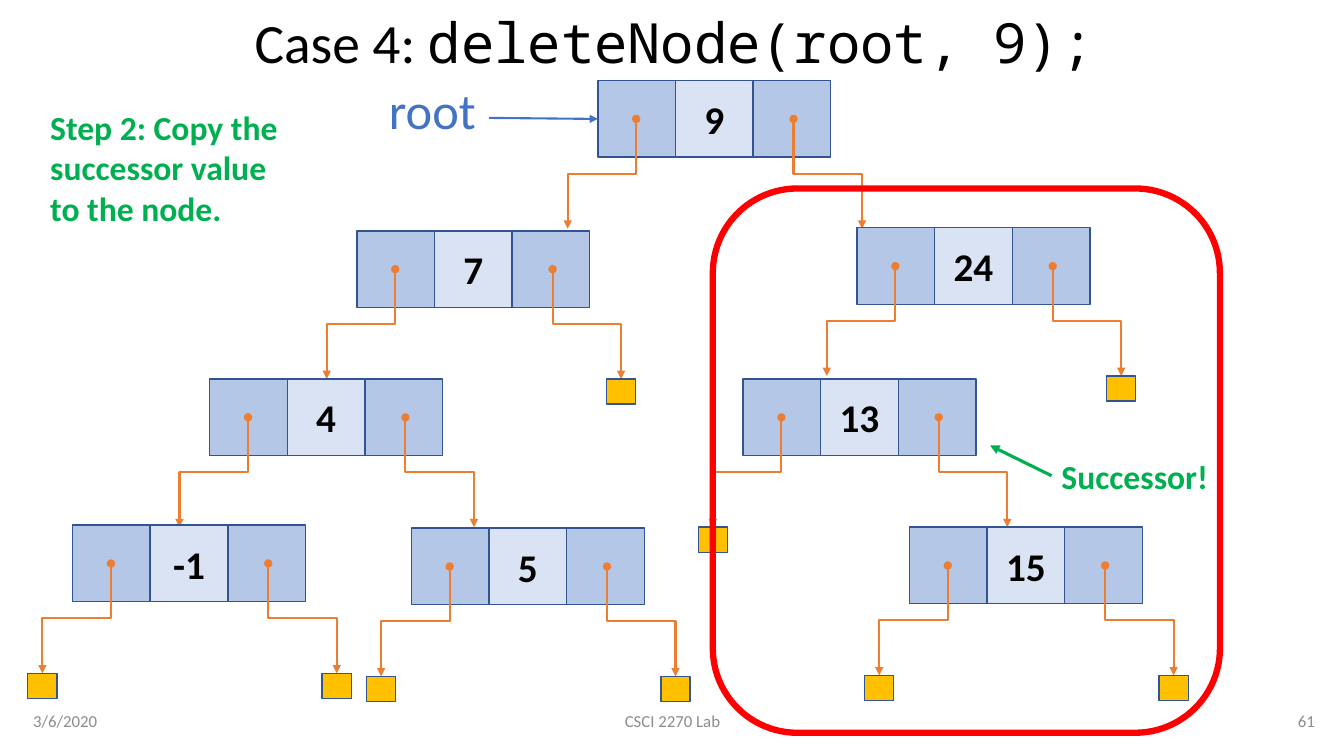
from lxml import etree
from pptx import Presentation
from pptx.dml.color import RGBColor
from pptx.enum.shapes import MSO_CONNECTOR as Connector, MSO_SHAPE as Shape
from pptx.enum.text import MSO_ANCHOR as Anchor, PP_ALIGN as Align
from pptx.oxml.ns import qn
from pptx.util import Inches, Pt

WIDTH, HEIGHT = 13.33, 7.5
CELL_WIDTH, CELL_HEIGHT = 0.77, 0.76
DROP, SPREAD = 1.09, 0.68
NULL_WIDTH, NULL_HEIGHT = 0.29, 0.25
LEFT_POINTER, RIGHT_POINTER = 0.38, 1.94
FONT, CODE_FONT = "Calibri", "Noto Sans Mono"
OUTLINE, ORANGE, GREEN, BLUE = "325491", "ED7D31", "00B050", "4472C4"
GRAY, BLACK = "8C8C8C", "000000"

NODES = [
    ("9", 5.93, 0.8, ""),
    ("7", 3.54, 2.29, "R"),
    ("24", 8.5, 2.26, "R"),
    ("4", 2.08, 3.76, ""),
    ("5", 4.08, 5.24, "LR"),
    ("13", 7.37, 3.76, "L"),
    ("15", 9.02, 5.23, "LR"),
    ("-1", 0.72, 5.21, "LR"),
]


def color(value):
    return RGBColor.from_string(value)


def format_run(run, size, tint, bold=False, font=FONT):
    run.font.name = font
    run.font.size = Pt(size)
    run.font.bold = bold
    run.font.color.rgb = color(tint)


def add_box(shapes, kind, left, top, width, height, fill, line=OUTLINE, weight=1):
    shape = shapes.add_shape(kind, Inches(left), Inches(top), Inches(width), Inches(height))
    shape.shadow.inherit = False
    if fill:
        shape.fill.solid()
        shape.fill.fore_color.rgb = color(fill)
    else:
        shape.fill.background()
    shape.line.color.rgb = color(line)
    shape.line.width = Pt(weight)
    return shape


def add_text(slide, text, left, top, width, height, size, tint,
             align=Align.LEFT, anchor=Anchor.TOP, bold=False):
    box = slide.shapes.add_textbox(Inches(left), Inches(top), Inches(width), Inches(height))
    frame = box.text_frame
    frame.word_wrap = True
    frame.vertical_anchor = anchor
    frame.text = text
    paragraph = frame.paragraphs[0]
    paragraph.alignment = align
    format_run(paragraph.runs[0], size, tint, bold)
    return paragraph


def add_arrow(shapes, kind, start, end, tint, weight, oval_start=False):
    arrow = shapes.add_connector(kind, *(Inches(value) for value in (*start, *end)))
    arrow.line.color.rgb = color(tint)
    arrow.line.width = Pt(weight)
    line = arrow.line._get_or_add_ln()
    if oval_start:
        etree.SubElement(line, qn("a:headEnd"), type="oval")
    etree.SubElement(line, qn("a:tailEnd"), type="triangle")
    etree.SubElement(arrow._element.spPr, qn("a:effectLst"))
    return arrow


def add_pointer(shapes, x, y, direction):
    left = x + direction * SPREAD / 2 - DROP / 2
    top = y + DROP / 2 - SPREAD / 2
    pointer = add_arrow(shapes, Connector.ELBOW, (left, top),
                        (left + DROP, top + SPREAD), ORANGE, 1.5, True)
    transform = pointer._element.spPr.find(qn("a:xfrm"))
    transform.set("rot", str((90 if direction < 0 else 270) * 60000))
    if direction > 0:
        transform.set("flipH", "1")


def add_node(slide, value, left, top):
    shapes = slide.shapes.add_group_shape().shapes
    cells = [add_box(shapes, Shape.RECTANGLE, left + column * CELL_WIDTH, top,
                     CELL_WIDTH, CELL_HEIGHT, fill)
             for column, fill in enumerate(("B4C7E7", "DAE3F3", "B4C7E7"))]
    frame = cells[1].text_frame
    frame.text = value
    frame.vertical_anchor = Anchor.MIDDLE
    frame.paragraphs[0].alignment = Align.CENTER
    format_run(frame.paragraphs[0].runs[0], 28, BLACK, True)
    middle = top + CELL_HEIGHT / 2
    add_pointer(shapes, left + LEFT_POINTER, middle, -1)
    add_pointer(shapes, left + RIGHT_POINTER, middle, 1)
    return cells[0]


def add_null(slide, left, top, side):
    tip = LEFT_POINTER - SPREAD if side == "L" else RIGHT_POINTER + SPREAD
    add_box(slide.shapes, Shape.RECTANGLE, left + tip - NULL_WIDTH / 2,
            top + CELL_HEIGHT / 2 + DROP, NULL_WIDTH, NULL_HEIGHT, "FFC000")


def add_title(slide):
    paragraph = add_text(slide, "Case 4: ", 0.23, 0.15, 12.91, 0.6, 39.6, BLACK,
                         Align.CENTER, Anchor.MIDDLE)
    paragraph.line_spacing = 0.9
    code = paragraph.add_run()
    code.text = "deleteNode(root, 9);"
    format_run(code, 39.6, BLACK, font=CODE_FONT)


def add_footer(slide):
    for text, left, width, align in (("3/6/2020", 0.23, 3, Align.LEFT),
                                     ("CSCI 2270 Lab", 4.42, 4.5, Align.CENTER),
                                     ("61", 10.14, 3, Align.RIGHT)):
        add_text(slide, text, left, 6.95, width, 0.4, 12, GRAY, align, Anchor.MIDDLE)


def main():
    presentation = Presentation()
    presentation.slide_width, presentation.slide_height = Inches(WIDTH), Inches(HEIGHT)
    slide = presentation.slides.add_slide(presentation.slide_layouts[6])
    add_title(slide)
    add_footer(slide)
    first_cells = [add_node(slide, value, left, top) for value, left, top, _ in NODES]
    root_arrow = add_arrow(slide.shapes, Connector.STRAIGHT, (4.85, 1.17), (5.93, 1.18), BLUE, 1.5)
    root_arrow.end_connect(first_cells[0], 1)
    add_text(slide, "root", 3.76, 0.74, 1.23, 0.71, 36, BLUE)
    for _, left, top, null_sides in NODES:
        for side in null_sides:
            add_null(slide, left, top, side)
    add_box(slide.shapes, Shape.ROUNDED_RECTANGLE, 7.07, 1.87, 5.03, 5.4, None, "FF0000", 4.5)
    add_text(slide, "Step 2: Copy the successor value to the node.",
             0.4, 1.01, 2.57, 1.31, 24, GREEN, bold=True)
    add_text(slide, "Successor!", 10.43, 4.47, 1.7, 0.5, 24, GREEN, bold=True)
    add_arrow(slide.shapes, Connector.STRAIGHT, (10.43, 4.72), (9.82, 4.42), GREEN, 2.25)
    presentation.save("out.pptx")


if __name__ == "__main__":
    main()
